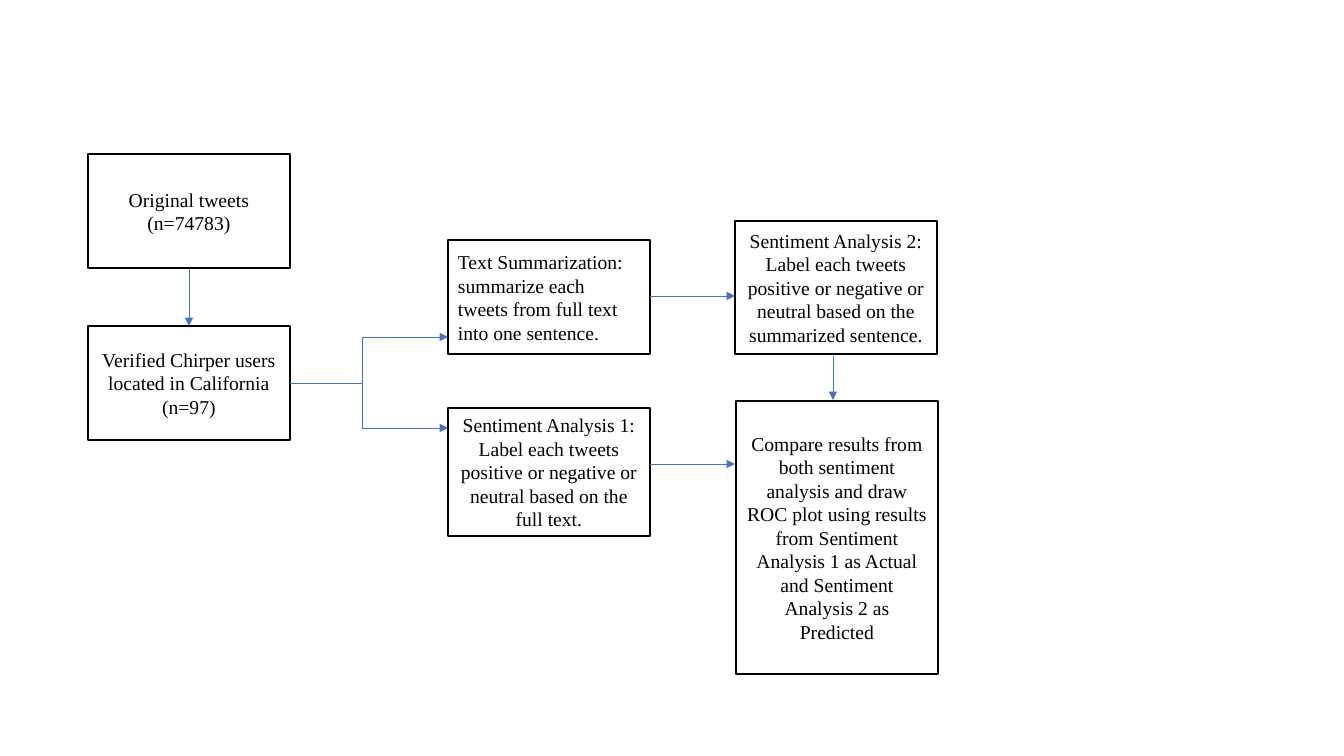
from dataclasses import dataclass

from lxml import etree
from pptx import Presentation
from pptx.dml.color import RGBColor
from pptx.enum.shapes import MSO_CONNECTOR, MSO_SHAPE
from pptx.enum.text import MSO_ANCHOR, PP_ALIGN
from pptx.oxml.ns import qn
from pptx.util import Pt

RECT = MSO_SHAPE.RECTANGLE
STRAIGHT = MSO_CONNECTOR.STRAIGHT
MIDDLE = MSO_ANCHOR.MIDDLE
LEFT, CENTER = PP_ALIGN.LEFT, PP_ALIGN.CENTER
EMU_PER_PX = 914400 / 100.8


@dataclass(frozen=True)
class Theme:
    font: str = "Times New Roman"
    size: float = 14
    ink: str = "000000"
    paper: str = "FFFFFF"
    flow: str = "4472C4"
    border_width: float = 1
    flow_width: float = 0.5


def px(value):
    return round(value * EMU_PER_PX)


def rgb(value):
    return RGBColor.from_string(value)


def write_text(tf, text, *, font, size, color, align=CENTER, anchor=MIDDLE):
    tf.word_wrap = True
    tf.vertical_anchor = anchor
    for i, line in enumerate(text.split("\n")):
        p = tf.add_paragraph() if i else tf.paragraphs[0]
        p.alignment = align
        r = p.add_run()
        r.text = line
        r.font.name = font
        r.font.size = Pt(size)
        r.font.color.rgb = rgb(color)


class Diagram:
    def __init__(self, slide, theme):
        self.slide = slide
        self.theme = theme

    def box(self, x, y, w, h, text, align=CENTER):
        t = self.theme
        sp = self.slide.shapes.add_shape(RECT, px(x), px(y), px(w), px(h))
        sp.shadow.inherit = False
        sp.fill.solid()
        sp.fill.fore_color.rgb = rgb(t.paper)
        sp.line.color.rgb = rgb(t.ink)
        sp.line.width = Pt(t.border_width)
        write_text(sp.text_frame, text, font=t.font, size=t.size,
                   color=t.ink, align=align)

    def line(self, x1, y1, x2, y2, arrow=True):
        t = self.theme
        cxn = self.slide.shapes.add_connector(STRAIGHT, px(x1), px(y1), px(x2), px(y2))
        cxn.line.color.rgb = rgb(t.flow)
        cxn.line.width = Pt(t.flow_width)
        if arrow:
            etree.SubElement(cxn.line._get_or_add_ln(), qn("a:tailEnd"), type="triangle")
        etree.SubElement(cxn._element.spPr, qn("a:effectLst"))


prs = Presentation()
prs.slide_width, prs.slide_height = px(1344), px(756)
s = Diagram(prs.slides.add_slide(prs.slide_layouts[6]), Theme())

BOX_W, BOX_H = 202, 114
DATA_X, ANALYSIS_X, RESULT_X = 88, 448, 735
TWEETS_Y, USERS_Y = 154, 326
SUMMARY_Y, FULL_TEXT_Y = 240, 408
FORK_X, FORK_TOP, FORK_BOTTOM = 362, 337, 428
DATA_RIGHT, ANALYSIS_RIGHT = DATA_X + BOX_W, ANALYSIS_X + BOX_W
USERS_MID = USERS_Y + BOX_H // 2
LABEL = "Label each tweets positive or negative or neutral based on the"

boxes = [
    (DATA_X, TWEETS_Y, BOX_H, "Original tweets\n(n=74783)", CENTER),
    (DATA_X, USERS_Y, BOX_H,
     "Verified Chirper users located in California\n(n=97)", CENTER),
    (ANALYSIS_X, SUMMARY_Y, BOX_H,
     "Text Summarization: summarize each tweets from full text into one sentence.", LEFT),
    (ANALYSIS_X, FULL_TEXT_Y, 128, f"Sentiment Analysis 1: {LABEL} full text.", CENTER),
    (RESULT_X, 221, 133, f"Sentiment Analysis 2: {LABEL} summarized sentence.", CENTER),
    (RESULT_X + 1, 401, 273,
     "Compare results from both sentiment analysis and draw ROC plot using results "
     "from Sentiment Analysis 1 as Actual and Sentiment Analysis 2 as Predicted", CENTER),
]
for x, y, h, text, align in boxes:
    s.box(x, y, BOX_W, h, text, align)

s.line(DATA_X + BOX_W // 2, TWEETS_Y + BOX_H, DATA_X + BOX_W // 2, USERS_Y)
s.line(DATA_RIGHT, USERS_MID, FORK_X, USERS_MID, arrow=False)
s.line(FORK_X, FORK_TOP, FORK_X, FORK_BOTTOM, arrow=False)
for y in (FORK_TOP, FORK_BOTTOM):
    s.line(FORK_X, y, ANALYSIS_X, y)
for y in (296, 464):
    s.line(ANALYSIS_RIGHT, y, RESULT_X, y)
s.line(833, 356, 833, 400)

prs.save("out.pptx")
